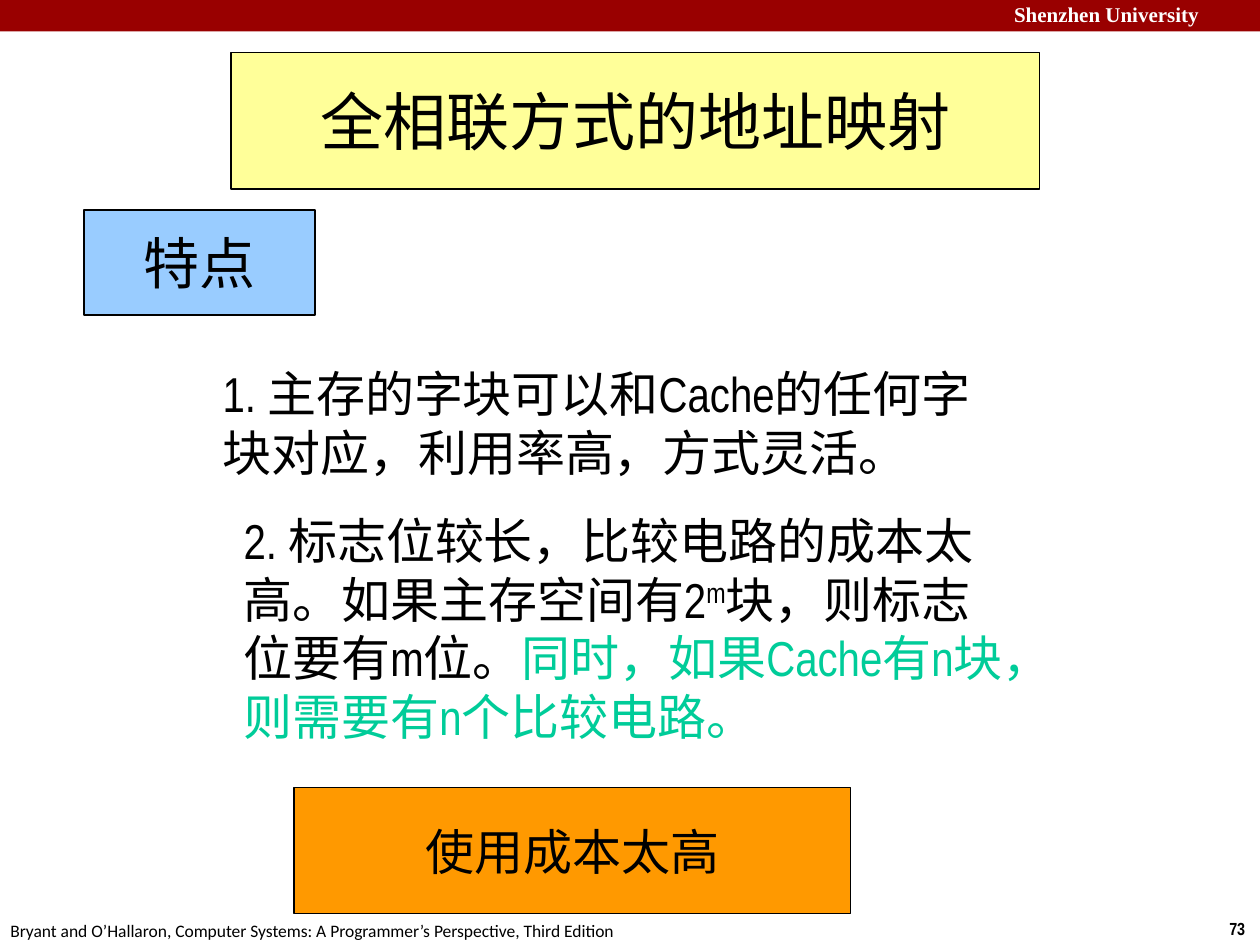
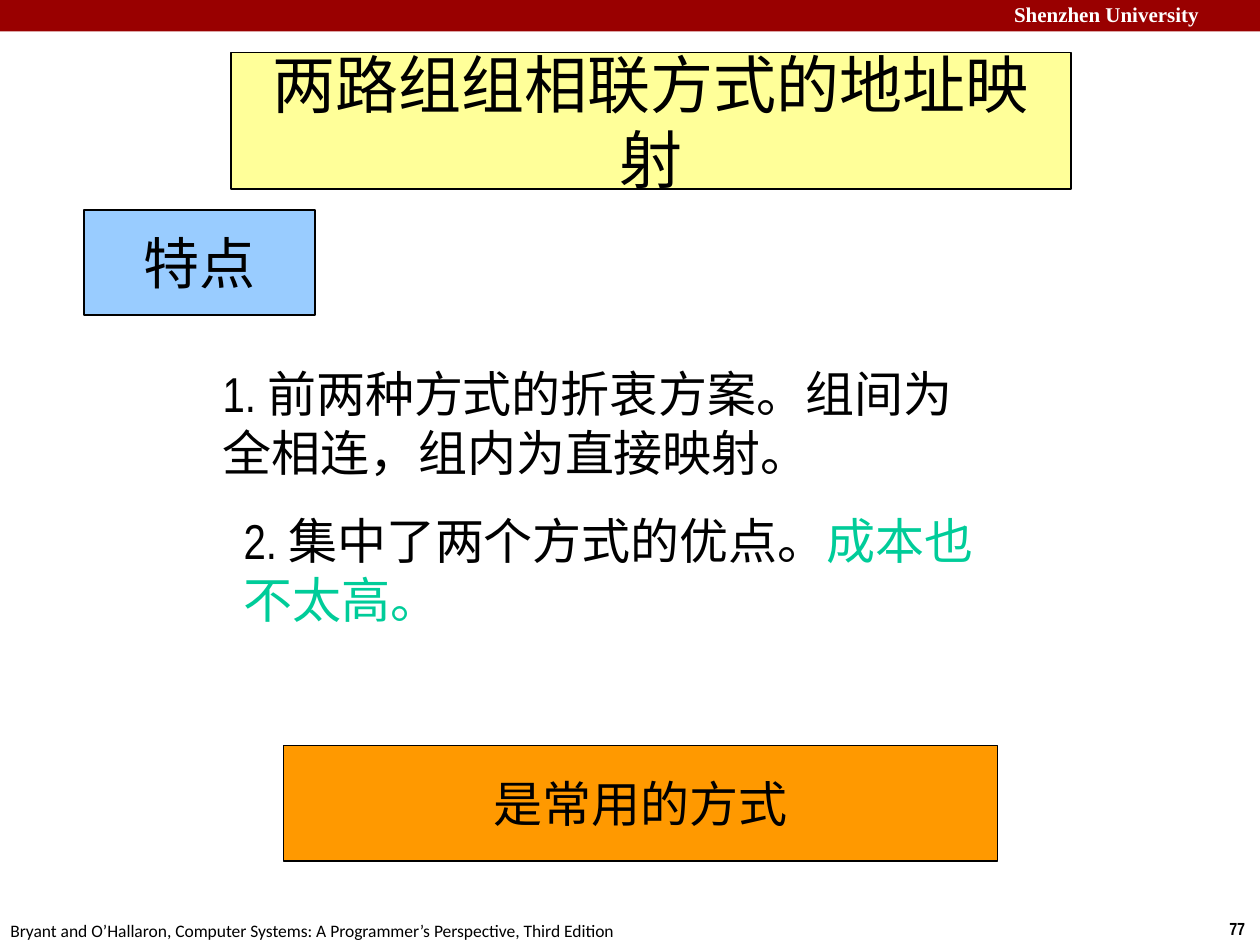
from lxml.etree import SubElement
from pptx import Presentation
from pptx.dml.color import RGBColor
from pptx.enum.shapes import MSO_SHAPE
from pptx.enum.text import MSO_ANCHOR, MSO_AUTO_SIZE, PP_ALIGN
from pptx.oxml.ns import qn
from pptx.util import Inches, Pt

WIDE, HIGH = Inches(10), Inches(7.5)
COLS, ROWS = 120, 90
RED, YELLOW, BLUE, ORANGE = "990000", "FFFF99", "99CCFF", "FF9900"
BLACK, WHITE, GREEN = "000000", "FFFFFF", "00CC99"
BOOK = "Bryant and O’Hallaron, Computer Systems: A Programmer’s Perspective, Third Edition"

PAGES = [
    {
        "number": "73",
        "title": ("全相联方式的地址映射", 77),
        "first": [("1. 主存的字块可以和Cache的任何字块对应，利用率高，方式灵活。", {})],
        "second": [
            ("2. 标志位较长，比较电路的成本太高。如果主存空间有2", {}),
            ("m", {"raised": True}),
            ("块，则标志位要有m位。", {}),
            ("同时，如果Cache有n块，则需要有n个比较电路。", {"color": GREEN}),
        ],
        "rows": 23.6,
        "verdict": ("使用成本太高", (28, 75, 53, 12)),
    },
    {
        "number": "77",
        "title": ("两路组组相联方式的地址映射", 80),
        "first": [("1. 前两种方式的折衷方案。组间为全相连，组内为直接映射。", {})],
        "second": [
            ("2. 集中了两个方式的优点。", {}),
            ("成本也不太高。", {"color": GREEN}),
        ],
        "rows": 12.4,
        "verdict": ("是常用的方式", (27, 71, 68, 11)),
    },
]


def paint(target, color):
    """Give a fill, line or font its hex colour."""
    target.rgb = RGBColor.from_string(color)


def scale(box):
    """Turn grid columns and rows into slide lengths."""
    left, top, width, height = box
    col, row = WIDE / COLS, HIGH / ROWS
    return [round(n) for n in (left * col, top * row, width * col, height * row)]


def place(shape, box):
    """Move a placeholder to a grid box."""
    shape.left, shape.top, shape.width, shape.height = scale(box)


def write(shape, text, size=28, font="Arial Narrow", color=BLACK, bold=False,
          align=PP_ALIGN.LEFT, anchor=MSO_ANCHOR.TOP, wrap=True,
          fit=MSO_AUTO_SIZE.NONE, plain=False):
    """Write a string, or a list of (text, changes) runs, into a shape."""
    frame = shape.text_frame
    frame.word_wrap, frame.auto_size, frame.vertical_anchor = wrap, fit, anchor
    para = frame.paragraphs[0]
    if plain:
        props = para._p.get_or_add_pPr()
        props.set("marL", "0")
        props.set("indent", "0")
        SubElement(props, qn("a:buNone"))
    para.alignment = align
    para.space_before = Pt(0)
    for words, change in [(text, {})] if isinstance(text, str) else text:
        run = para.add_run()
        run.text = words
        run.font.size, run.font.name, run.font.bold = Pt(size), font, bold
        paint(run.font.color, change.get("color", color))
        if change.get("raised"):
            run._r.get_or_add_rPr().set("baseline", "30000")


def panel(shape, text, fill, size):
    """Make a shape an outlined colour panel with centred text."""
    shape.fill.solid()
    paint(shape.fill.fore_color, fill)
    shape.line.width = Pt(0.75)
    paint(shape.line.color, BLACK)
    write(shape, text, size=size, align=PP_ALIGN.CENTER,
          anchor=MSO_ANCHOR.MIDDLE, wrap=False)


def block(slide, box):
    """Add a flat rectangle on the grid."""
    shape = slide.shapes.add_shape(MSO_SHAPE.RECTANGLE, *scale(box))
    shape.shadow.inherit = False
    return shape


def label(slide, box, text, **style):
    """Add a text box that fits its text."""
    write(slide.shapes.add_textbox(*scale(box)), text,
          fit=MSO_AUTO_SIZE.SHAPE_TO_FIT_TEXT, **style)


def header(slide, box):
    """Draw the top band with the school name."""
    left, top, width, height = box
    band = block(slide, box)
    band.fill.solid()
    paint(band.fill.fore_color, RED)
    band.line.fill.background()
    label(slide, (left + width * 0.795, top - 0.4, 25.4, height + 0.6),
          "Shenzhen University", size=12, font="Times New Roman",
          color=WHITE, bold=True)


def footer(slide, box, number):
    """Write the book credit and the page number."""
    left, top, width, height = box
    label(slide, (left + width - 4.1, top - 0.2, 4.1, height), number,
          size=10, bold=True, wrap=False)
    label(slide, (left - 0.2, top, 61.1, height), BOOK,
          size=10, font="Calibri", wrap=False)


def points(slide, box, first, second, rows):
    """Place the two numbered points, the second one shifted right."""
    left, top, width, height = box
    _, upper, lower = slide.placeholders
    place(upper, (left, top, width - 1, height))
    place(lower, (left + 2, top + 14, width - 2, rows))
    for shape, text in ((upper, first), (lower, second)):
        write(shape, text, plain=True)


def page(deck, data):
    """Build one slide of features."""
    slide = deck.slides.add_slide(deck.slide_layouts[3])
    header(slide, (0, 0, COLS, 3))
    footer(slide, (0, 87, COLS, 3.2), data["number"])
    text, width = data["title"]
    place(slide.shapes.title, (22, 5, width, 13))
    panel(slide.shapes.title, text, YELLOW, 36)
    panel(block(slide, (8, 20, 22, 10)), "特点", BLUE, 32)
    points(slide, (20, 34, 77, 12.4), data["first"], data["second"], data["rows"])
    text, box = data["verdict"]
    panel(block(slide, box), text, ORANGE, 28)


def main():
    """Build and save the deck."""
    deck = Presentation()
    deck.slide_width, deck.slide_height = WIDE, HIGH
    for data in PAGES:
        page(deck, data)
    deck.save("out.pptx")


if __name__ == "__main__":
    main()
